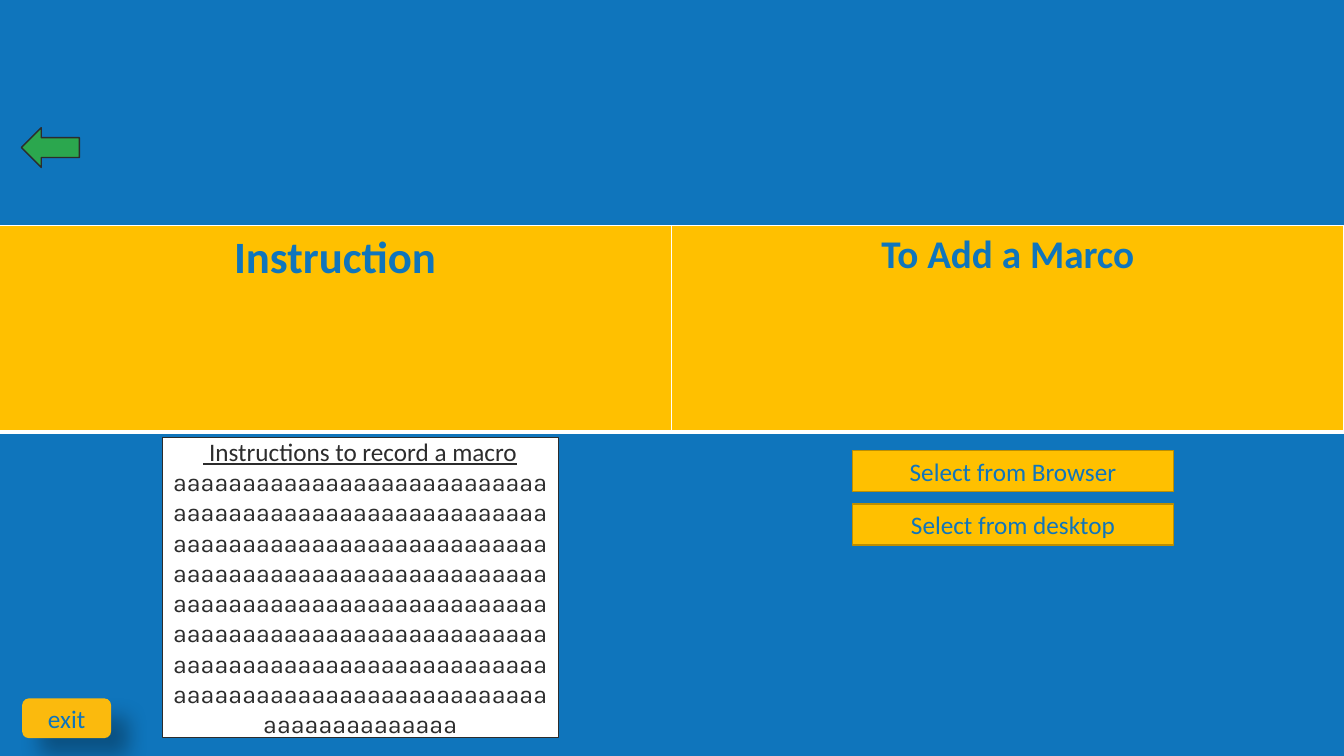
"""Build the macro instruction slide with its heading table, instruction box and buttons."""
from lxml import etree
from pptx import Presentation
from pptx.dml.color import RGBColor as Rgb
from pptx.enum.shapes import MSO_SHAPE as Shape
from pptx.enum.text import MSO_ANCHOR as Anchor, PP_ALIGN as Align
from pptx.oxml import parse_xml
from pptx.util import Cm, Pt

COLORS = {"blue": "0F75BC", "amber": "FFC000", "amber_edge": "BD8E00", "exit": "FBBA0D",
          "green": "2BA74E", "ink": "2C2C2C", "white": "FFFFFF", "black": "000000"}
NS = "http://schemas.openxmlformats.org/drawingml/2006/main"


def write(paragraph, text, size, color, font="Calibri", bold=False, underline=False):
    paragraph.text = text
    paragraph.alignment = Align.CENTER
    style = paragraph.runs[0].font
    style.name, style.size, style.bold, style.underline = font, Pt(size), bold, underline
    style.color.rgb = Rgb.from_string(COLORS[color])


def add_block(preset, left, top, width, height, fill, line=None):
    block = slide.shapes.add_shape(preset, Cm(left), Cm(top), Cm(width), Cm(height))
    block.shadow.inherit = False
    block.fill.solid()
    block.fill.fore_color.rgb = Rgb.from_string(COLORS[fill])
    if line:
        block.line.color.rgb = Rgb.from_string(COLORS[line])
        block.line.width = Pt(1)
    else:
        block.line.fill.background()
    block.text_frame.word_wrap = True
    block.text_frame.vertical_anchor = Anchor.MIDDLE
    return block


deck = Presentation()
deck.slide_width, deck.slide_height = Cm(33.87), Cm(19.05)
slide = deck.slides.add_slide(deck.slide_layouts[6])
slide.background.fill.solid()
slide.background.fill.fore_color.rgb = Rgb.from_string(COLORS["blue"])

headings = slide.shapes.add_table(1, 2, Cm(-0.03), Cm(5.69), Cm(33.9), Cm(5.2)).table
for column, (title, size, space) in enumerate([("Instruction", 32, 10), ("To Add a Marco", 28, 0)]):
    cell = headings.cell(0, column)
    write(cell.text_frame.paragraphs[0], title, size, "blue", bold=True)
    cell.text_frame.paragraphs[0].space_before = Pt(space)
    borders = cell._tc.get_or_add_tcPr()
    for side, weight in [("L", 1), ("R", 1), ("T", 1), ("B", 3)]:
        border = etree.SubElement(borders, f"{{{NS}}}ln{side}", w=str(Pt(weight)))
        paint = etree.SubElement(border, f"{{{NS}}}solidFill")
        etree.SubElement(paint, f"{{{NS}}}srgbClr", val=COLORS["white"])
    cell.fill.solid()
    cell.fill.fore_color.rgb = Rgb.from_string(COLORS["amber"])

instructions = add_block(Shape.RECTANGLE, 4.09, 11.02, 9.98, 7.57, "white", "ink").text_frame
write(instructions.paragraphs[0], " Instructions to record a macro", 18, "ink", underline=True)
write(instructions.add_paragraph(), "a" * 230, 18, "ink", font="Karla")

for row, choice in enumerate(["Select from Browser", "Select from desktop"]):
    button = add_block(Shape.RECTANGLE, 21.49, 11.35 + 1.35 * row, 8.08, 1.04, "amber", "amber_edge")
    write(button.text_frame.paragraphs[0], choice, 18, "blue")

add_block(Shape.LEFT_ARROW, 0.54, 3.22, 1.46, 1, "green", "ink")

exit_button = add_block(Shape.ROUNDED_RECTANGLE, 0.56, 17.6, 2.24, 1, "exit")
write(exit_button.text_frame.paragraphs[0], "exit", 18, "blue")
exit_button._element.spPr.find(f"{{{NS}}}effectLst").append(parse_xml(
    f'<a:outerShdw xmlns:a="{NS}" blurRad="{Pt(15)}" dist="{Pt(18)}" dir="2700000" '
    f'algn="tl" rotWithShape="0"><a:srgbClr val="{COLORS["black"]}">'
    '<a:alpha val="30000"/></a:srgbClr></a:outerShdw>'))

deck.save("out.pptx")
